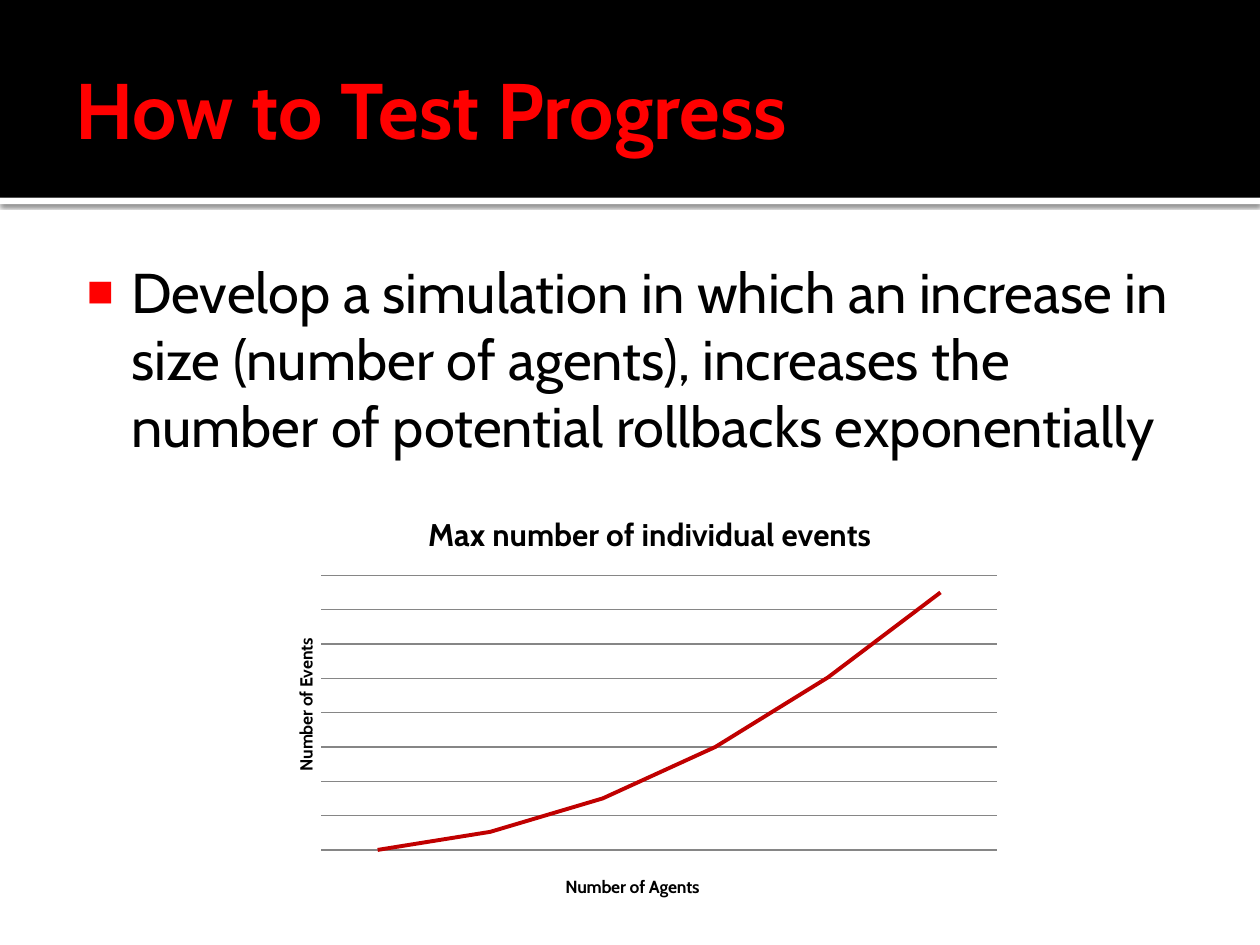
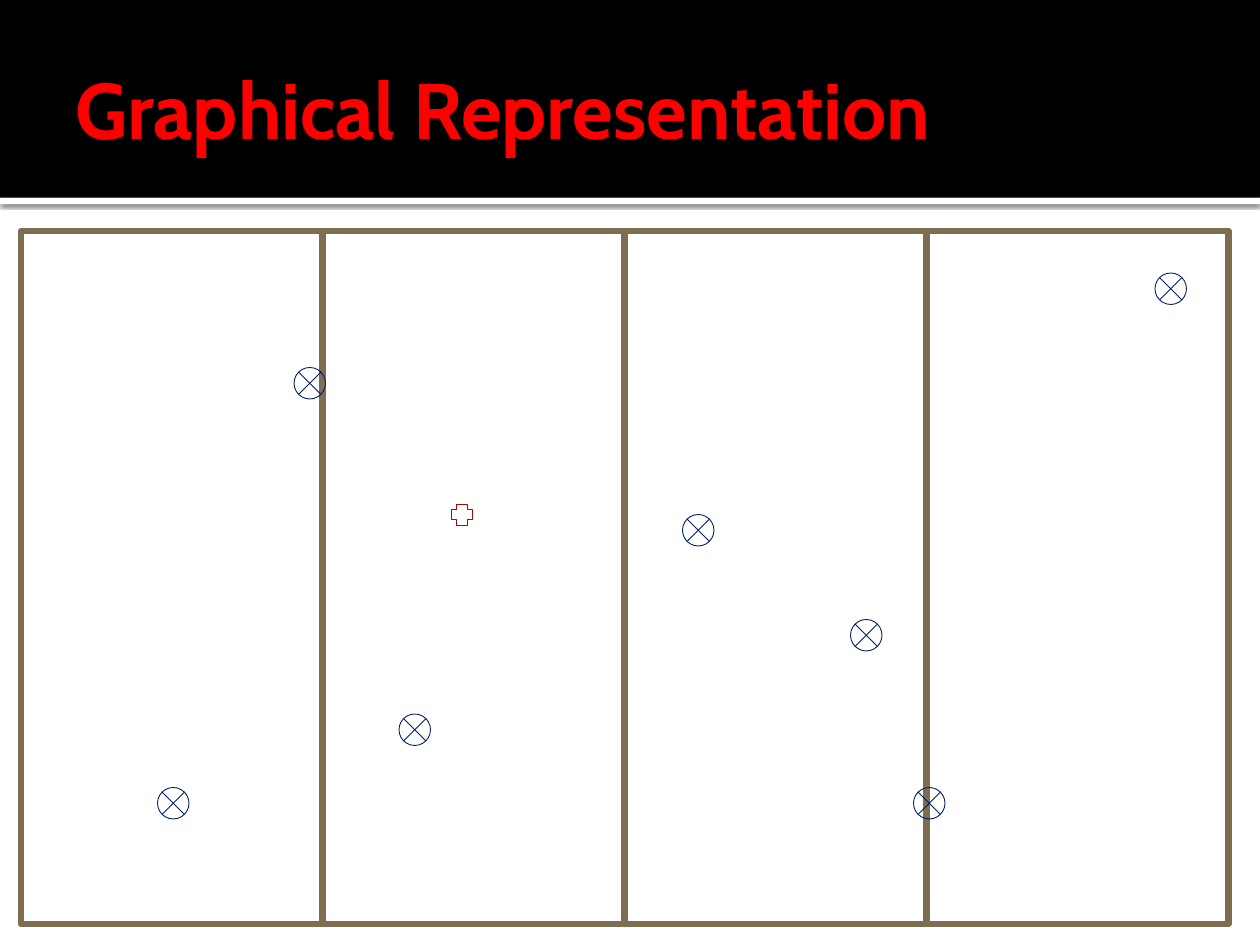
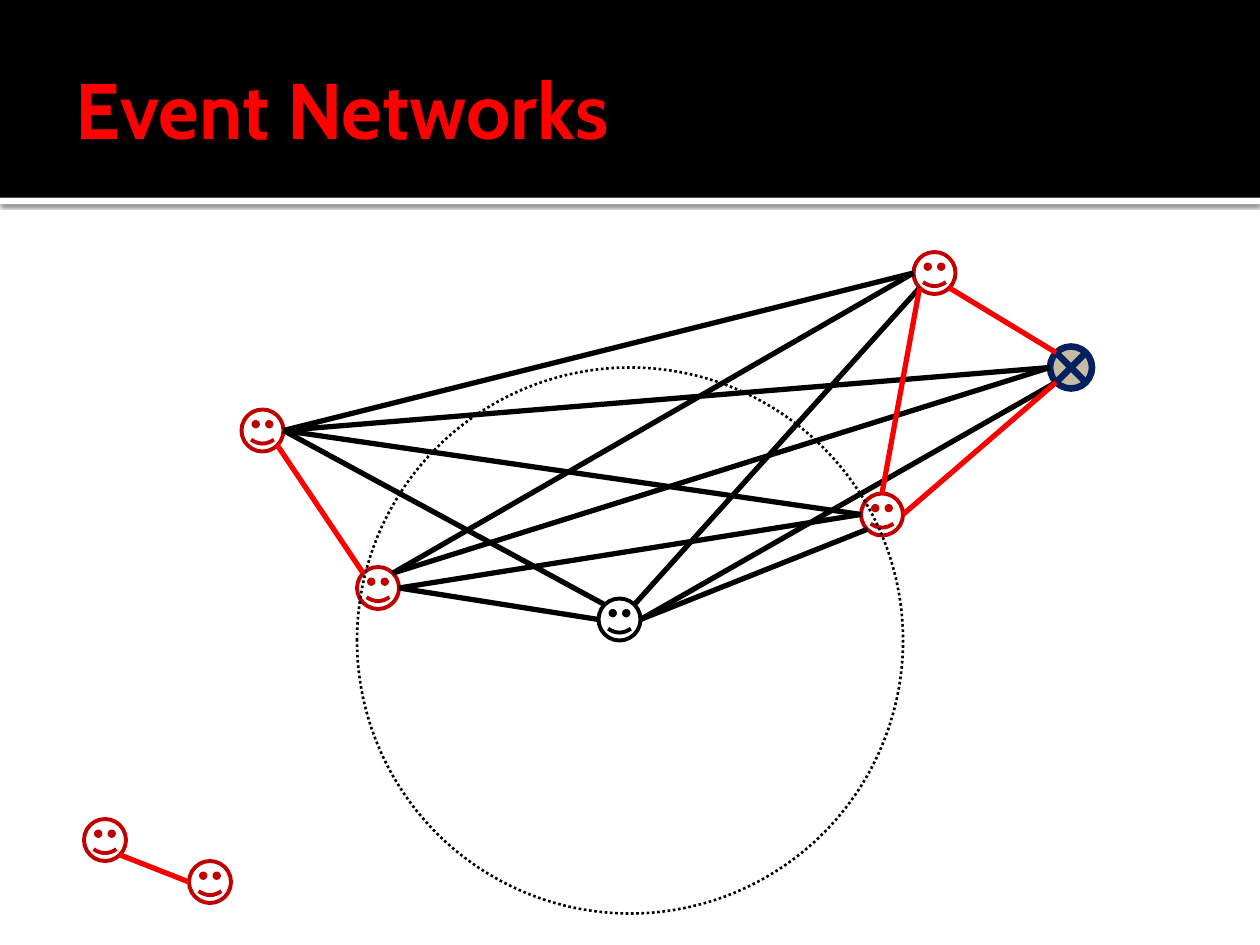
import lxml.etree
import pptx
import pptx.chart.data
import pptx.dml.color
import pptx.enum.chart
import pptx.enum.dml
import pptx.enum.shapes
import pptx.enum.text
import pptx.oxml.ns
import pptx.util

Pt = pptx.util.Pt
Inches = pptx.util.Inches
qn = pptx.oxml.ns.qn
SHAPES = pptx.enum.shapes.MSO_SHAPE

FONT = "Cabin"
COLUMNS, ROWS = 120, 90  # one grid cell is a twelfth of an inch
COLORS = {
    "black": "000000", "white": "FFFFFF", "red": "FF0000", "link": "F90000",
    "dark_red": "C00000", "navy": "002060", "brown": "7E6D50",
    "sand": "C7BBA6", "grid": "868686",
}


def rgb(name):
    """Return the named colour."""
    return pptx.dml.color.RGBColor.from_string(COLORS[name])


def add_xml(parent, tag, **attributes):
    """Append a child element with the given attributes."""
    child = lxml.etree.SubElement(parent, qn(tag))
    for key, value in attributes.items():
        child.set(key, str(value))
    return child


def style_font(font, size, color="black", bold=False):
    """Apply the deck's typeface to a font."""
    font.name, font.size, font.bold = FONT, Pt(size), bold
    font.color.rgb = rgb(color)


def set_layout(element, position, **values):
    """Place a chart part at shares of the chart's size."""
    for existing in element.findall(qn("c:layout")):
        element.remove(existing)
    layout = add_xml(element, "c:layout")
    element.insert(position, layout)
    manual = add_xml(layout, "c:manualLayout")
    if "w" in values:
        add_xml(manual, "c:layoutTarget", val="inner")
    add_xml(manual, "c:xMode", val="edge")
    add_xml(manual, "c:yMode", val="edge")
    for key, value in values.items():
        add_xml(manual, f"c:{key}", val=value)


def style_chart_title(title, text, size, x, y, rotation=0):
    """Write and place a chart title or an axis title."""
    title.text_frame.text = text
    style_font(title.text_frame.paragraphs[0].font, size, bold=True)
    body = next(title.element.iter(qn("a:bodyPr")))
    body.set("rot", str(rotation * 60000))
    body.set("vert", "horz")
    set_layout(title.element, 1, x=x, y=y)


class Deck:
    """Holds the presentation, its style and the current slide."""

    def __init__(self):
        """Start an empty 4:3 presentation."""
        self.presentation = pptx.Presentation()
        self.presentation.slide_width = Inches(10)
        self.presentation.slide_height = Inches(7.5)
        self.slide = None

    def box(self, left, top, width, height):
        """Turn grid units into lengths."""
        cell_width = self.presentation.slide_width / COLUMNS
        cell_height = self.presentation.slide_height / ROWS
        return (round(left * cell_width), round(top * cell_height),
                round(width * cell_width), round(height * cell_height))

    def new_slide(self, title, layout=5):
        """Add a slide with a styled title."""
        first = self.slide is None
        layouts = self.presentation.slide_layouts
        self.slide = self.presentation.slides.add_slide(layouts[layout])
        if first:
            self.master_bands()
        frame = self.place_text(self.slide.shapes.title, title,
                                (6, 2, 108, 16.5), (0.1, 0.05, 0.05, 0.05))
        frame.vertical_anchor = pptx.enum.text.MSO_ANCHOR.MIDDLE
        style_font(frame.paragraphs[0].font, 45, "red", bold=True)

    def master_bands(self):
        """Put the title band and its shadowed edge on the master."""
        edge = self.shape(SHAPES.RECTANGLE, (0, 18.84, 120, 0.6), fill="white")
        effects = edge.element.spPr.find(qn("a:effectLst"))
        shadow = add_xml(effects, "a:outerShdw", blurRad=Pt(2.5), dist=Pt(0.8),
                         dir=90 * 60000, algn="tl", rotWithShape=0)
        color = add_xml(shadow, "a:srgbClr", val=COLORS["black"])
        add_xml(color, "a:alpha", val=60000)
        band = self.shape(SHAPES.RECTANGLE, (0, 0, 120, 18.84), fill="black")
        tree = self.presentation.slide_master.element.cSld.spTree
        for index, shape in enumerate((edge, band)):
            shape.element.nvSpPr.cNvPr.set("id", str(100 + index))
            tree.insert(2 + index, shape.element)

    def place_text(self, placeholder, text, box, insets):
        """Move a placeholder, fill it and return its text frame."""
        (placeholder.left, placeholder.top,
         placeholder.width, placeholder.height) = self.box(*box)
        frame = placeholder.text_frame
        frame.text = text
        frame.word_wrap = True
        frame.auto_size = pptx.enum.text.MSO_AUTO_SIZE.NONE
        (frame.margin_left, frame.margin_top,
         frame.margin_right, frame.margin_bottom) = map(Inches, insets)
        frame.paragraphs[0].alignment = pptx.enum.text.PP_ALIGN.LEFT
        return frame

    def bullet(self, text):
        """Fill the body placeholder with one bulleted paragraph."""
        frame = self.place_text(self.slide.placeholders[1], text,
                                (6, 23.3, 108, 60.7), (0.06, 0.1, 0.1, 0.05))
        paragraph = frame.paragraphs[0]
        style_font(paragraph.font, 32)
        paragraph.space_before = Pt(0)
        properties = paragraph._p.get_or_add_pPr()
        properties.set("marL", str(Inches(0.48)))
        properties.set("indent", str(Inches(-0.35)))
        marks = [add_xml(properties, "a:buClr"),
                 add_xml(properties, "a:buSzPct", val=80000),
                 add_xml(properties, "a:buFont", typeface="Arial"),
                 add_xml(properties, "a:buChar", char="■")]
        add_xml(marks[0], "a:srgbClr", val=COLORS["red"])
        default_run = properties.find(qn("a:defRPr"))
        if default_run is not None:
            properties.append(default_run)

    def shape(self, kind, box, fill=None, line=None, weight=1):
        """Add a preset shape."""
        shape = self.slide.shapes.add_shape(kind, *self.box(*box))
        shape.shadow.inherit = False
        if fill:
            shape.fill.solid()
            shape.fill.fore_color.rgb = rgb(fill)
        else:
            shape.fill.background()
        if line:
            shape.line.color.rgb = rgb(line)
            shape.line.width = Pt(weight)
        else:
            shape.line.fill.background()
        return shape

    def connect(self, start, end, color):
        """Draw a line between two points of the grid."""
        connector = self.slide.shapes.add_connector(
            pptx.enum.shapes.MSO_CONNECTOR.STRAIGHT,
            *self.box(*start, *end))
        connector.line.color.rgb = rgb(color)
        connector.line.width = Pt(3)
        add_xml(connector.element.spPr, "a:effectLst")

    def line_chart(self, box, title, category_title, value_title, values):
        """Add a one-series line chart with hidden axes."""
        data = pptx.chart.data.CategoryChartData()
        data.categories = [str(n + 1) for n in range(len(values))]
        data.add_series("Series 1", values)
        chart = self.slide.shapes.add_chart(
            pptx.enum.chart.XL_CHART_TYPE.LINE, *self.box(*box), data).chart
        style_font(chart.font, 10)
        chart.has_legend = False
        chart.has_title = True
        style_chart_title(chart.chart_title, title, 18, 0.26, 0.08)

        category_axis, value_axis = chart.category_axis, chart.value_axis
        style_chart_title(category_axis.axis_title, category_title,
                          10, 0.44, 0.93)
        style_chart_title(value_axis.axis_title, value_title,
                          10, 0.09, 0.38, rotation=-90)
        category_axis.visible = value_axis.visible = False
        value_axis.minimum_scale = 0
        value_axis.major_unit = 13.33
        value_axis.maximum_scale = 8 * 13.33
        value_axis.has_major_gridlines = True
        gridline = value_axis.major_gridlines.format.line
        gridline.color.rgb = rgb("grid")
        gridline.width = Pt(0.75)

        chart.plots[0].vary_by_categories = False
        series = chart.plots[0].series[0]
        series.smooth = False
        series.marker.style = pptx.enum.chart.XL_MARKER_STYLE.NONE
        series.format.line.color.rgb = rgb("dark_red")
        series.format.line.width = Pt(2.25)
        plot_area = next(chart.element.iter(qn("c:plotArea")))
        set_layout(plot_area, 0, x=0.13, y=0.24, w=0.87, h=0.64)


def build_progress(deck):
    """Slide with the test idea and the growth chart."""
    deck.new_slide("How to Test Progress", layout=1)
    deck.bullet("Develop a simulation in which an increase in size (number of "
                "agents), increases the number of potential rollbacks "
                "exponentially")
    deck.line_chart((21, 45, 74, 41), "Max number of individual events",
                    "Number of Agents", "Number of Events",
                    (0, 7, 20, 40, 67, 100))


def build_representation(deck):
    """Slide with four regions, events and one agent."""
    deck.new_slide("Graphical Representation")
    width = 115 / 4
    for column in range(4):
        deck.shape(SHAPES.RECTANGLE, (2 + column * width, 22, width, 66),
                   line="brown", weight=3.78)
    events = ((15, 75), (65, 49), (38, 68), (81, 59),
              (110, 26), (28, 35), (87, 75))
    for left, top in events:
        deck.shape(SHAPES.FLOWCHART_SUMMING_JUNCTION, (left, top, 3, 3),
                   line="navy", weight=0.5)
    deck.shape(SHAPES.CROSS, (43, 48, 2, 2), line="dark_red", weight=0.5)


def build_networks(deck):
    """Slide with agents, an event and the links between them."""
    deck.new_slide("Event Networks")
    size, radius = 4, 2
    diagonal = radius * 0.5 ** 0.5
    sides = {"n": (0, -radius), "e": (radius, 0), "w": (-radius, 0),
             "ne": (diagonal, -diagonal), "nw": (-diagonal, -diagonal),
             "se": (diagonal, diagonal), "sw": (-diagonal, diagonal)}
    nodes = {"lower": (34, 54), "outer": (8, 78), "west": (23, 39),
             "upper": (87, 24), "east": (82, 47), "partner": (18, 82),
             "center": (57, 57), "event": (100, 33)}
    links = {
        "black": ("west e east w", "center e east sw", "center w lower e",
                  "west e center nw", "west e upper w", "west e event w",
                  "upper sw center ne", "center e event sw",
                  "lower ne upper w", "lower ne event w", "lower e east w"),
        "link": ("east n upper sw", "upper se event nw", "east e event sw",
                 "outer se partner w"),
        "red": ("lower nw west se",),
    }

    def point(node, side):
        """Return the point on one side of a node."""
        return tuple(corner + radius + offset
                     for corner, offset in zip(nodes[node], sides[side]))

    for name, corner in nodes.items():
        box = (*corner, size, size)
        if name == "event":
            deck.shape(SHAPES.FLOWCHART_SUMMING_JUNCTION, box,
                       fill="sand", line="navy", weight=3.78)
        else:
            deck.shape(SHAPES.SMILEY_FACE, box, weight=2.25,
                       line="black" if name == "center" else "dark_red")
    reach = deck.shape(SHAPES.OVAL, (34, 35, 52, 52), line="black", weight=1.5)
    reach.line.dash_style = pptx.enum.dml.MSO_LINE.ROUND_DOT
    for color, routes in links.items():
        for route in routes:
            start, start_side, end, end_side = route.split()
            deck.connect(point(start, start_side), point(end, end_side), color)


def main():
    """Build and save the presentation."""
    deck = Deck()
    build_progress(deck)
    build_representation(deck)
    build_networks(deck)
    deck.presentation.save("out.pptx")


main()
